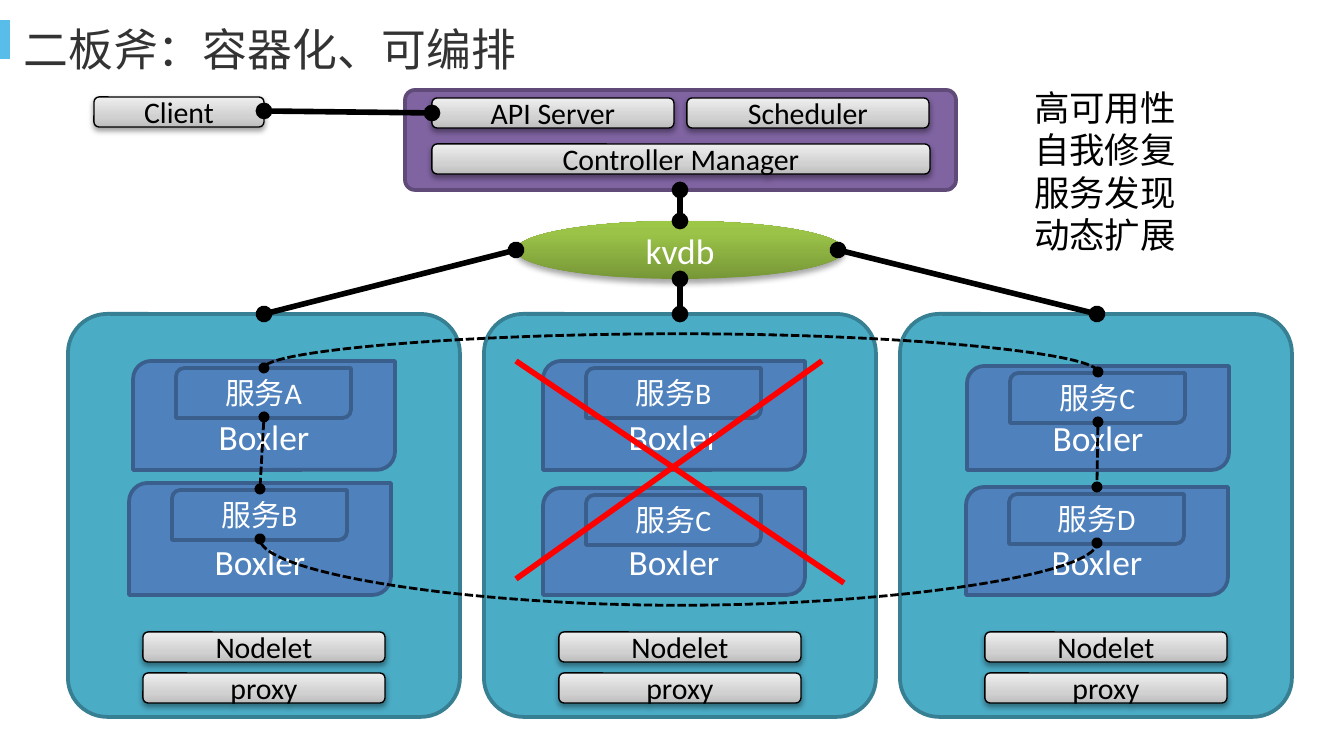
from lxml import etree
from pptx import Presentation
from pptx.dml.color import RGBColor
from pptx.enum.dml import MSO_LINE
from pptx.enum.shapes import MSO_CONNECTOR as Link, MSO_SHAPE as Kind
from pptx.enum.text import MSO_ANCHOR as Anchor, MSO_AUTO_SIZE as AutoSize, PP_ALIGN as Align
from pptx.oxml import parse_xml
from pptx.oxml.ns import nsdecls, qn
from pptx.util import Emu, Pt

PX = 914400 / 134.4
CJK = "Noto Sans CJK SC"

TITLE = "二板斧：容器化、可编排"
BENEFITS = ["高可用性", "自我修复", "服务发现", "动态扩展"]
STORE, RUNTIME = "kvdb", "Boxler"
BAR_W, BAR_H = 242, 30
NODE_TOP, NODE_W, NODE_H = 314, 392, 403
POD_W = 262
SERVICE_DX, SERVICE_DY, SERVICE_W, SERVICE_H = 43, 7, 175, 50

BARS = [  # label, left, top, width
    ("Client", 94, 97, 170),
    ("API Server", 432, 98, BAR_W),
    ("Scheduler", 687, 98, BAR_W),
    ("Controller Manager", 432, 144, 498),
]
DAEMONS = [("Nodelet", 632), ("proxy", 673)]  # label, top
NODES = [  # left, daemon left, pods as (service, left, top, height)
    (68, 143, [("服务A", 133, 361, 109), ("服务B", 129, 483, 112)]),
    (484, 559, [("服务B", 543, 361, 109), ("服务C", 543, 488, 107)]),
    (900, 985, [("服务C", 967, 366, 104), ("服务D", 966, 487, 108)]),
]
CONTROL_LINKS = [
    ((680, 190), (680, 221)),
    ((516, 250), (264, 314)),
    ((680, 279), (680, 314)),
    ((838, 250), (1097, 314)),
    ((432, 113), (264, 111)),
]
SERVICE_LINKS = [((1098, 422), (1097, 487)), ((264, 417), (260, 489))]
SERVICE_ARCS = [  # start, end, height the arc reaches
    ((264, 368), (1098, 372), 334),
    ((260, 539), (1097, 543), 605),
]
CROSS = [((516, 361), (844, 583)), ((822, 361), (516, 579))]

SILVER = [(0, "BDBDBD"), (35, "D1D1D1"), (100, "EEEEEE")]
GREEN = [(0, "779737"), (80, "9BC348"), (100, "9DC746")]


def px(value):
    return Emu(round(value * PX))


def color(value):
    return RGBColor.from_string(value)


def format_text(frame, size, ink, font="Calibri", align=Align.LEFT):
    for para in frame.paragraphs:
        para.alignment = align
        for span in para.runs:
            span.font.size = Pt(size)
            span.font.color.rgb = color(ink)
            span.font.name = font
            east = etree.SubElement(span.font._element, qn("a:ea"))
            east.set("typeface", CJK)


def add_box(kind, left, top, width, height, fill, line=None, weight=2, text="",
            size=16, ink="FFFFFF", anchor=Anchor.MIDDLE, corner=None):
    box = page.shapes.add_shape(kind, px(left), px(top), px(width), px(height))
    box.shadow.inherit = False
    if isinstance(fill, list):
        set_gradient(box, fill)
    else:
        box.fill.solid()
        box.fill.fore_color.rgb = color(fill)
    if line:
        box.line.color.rgb = color(line)
        box.line.width = Pt(weight)
    else:
        box.line.fill.background()
    if corner is not None:
        box.adjustments[0] = corner
    if text:
        frame = box.text_frame
        frame.text = text
        frame.vertical_anchor = anchor
        format_text(frame, size, ink, align=Align.CENTER)
    return box


def set_gradient(box, stops):
    """Bottom-to-top gradient with any number of stops."""
    box.fill.gradient()
    box.fill.gradient_angle = 90
    stop_list = next(box._element.spPr.iter(qn("a:gsLst")))
    for stop in list(stop_list):
        stop_list.remove(stop)
    for place, tone in stops:
        stop = etree.SubElement(stop_list, qn("a:gs"), pos=str(place * 1000))
        etree.SubElement(stop, qn("a:srgbClr"), val=tone)


def add_drop_shadow(box, opacity, distance):
    box._element.spPr.find(qn("a:effectLst")).append(parse_xml(
        f'<a:outerShdw {nsdecls("a")} blurRad="{Pt(3.1)}" dist="{Pt(distance)}" '
        f'dir="5400000" rotWithShape="0"><a:srgbClr val="000000">'
        f'<a:alpha val="{opacity * 1000}"/></a:srgbClr></a:outerShdw>'))


def add_bar(text, left, top, width):
    bar = add_box(Kind.ROUNDED_RECTANGLE, left, top, width, BAR_H, SILVER,
                  "000000", 0.75, text, ink="000000")
    add_drop_shadow(bar, 38, 1.6)


def add_link(start, end, ink="000000", weight=3.0, dashed=False, dots=True, kind=Link.STRAIGHT):
    link = page.shapes.add_connector(kind, *map(px, (*start, *end)))
    link.line.color.rgb = color(ink)
    link.line.width = Pt(weight)
    if dashed:
        link.line.dash_style = MSO_LINE.SQUARE_DOT
    if dots:
        line = link.line._get_or_add_ln()
        for tag in ("a:headEnd", "a:tailEnd"):
            etree.SubElement(line, qn(tag), type="oval")
    etree.SubElement(link._element.spPr, qn("a:effectLst"))
    return link


def add_arc(start, end, reach):
    """Curved connector, turned a quarter so that it leaves both ends vertically."""
    (x1, y1), (x2, y2) = start, end
    mid_x, mid_y = (x1 + x2) / 2, (y1 + y2) / 2
    half_w, half_h = (y2 - y1) / 2, (x2 - x1) / 2
    arc = add_link((mid_x + half_w, mid_y - half_h), (mid_x - half_w, mid_y + half_h),
                   weight=1.5, dashed=True, kind=Link.CURVE)
    shape_xml = arc._element.spPr
    shape_xml.find(qn("a:xfrm")).set("rot", str(270 * 60000))
    guides = shape_xml.find(qn("a:prstGeom")).get_or_add_avLst()
    bend = round((reach - y1) / (y2 - y1) * 100000)
    etree.SubElement(guides, qn("a:gd"), name="adj1", fmla=f"val {bend}")


deck = Presentation()
deck.slide_width, deck.slide_height = px(1344), px(756)
page = deck.slides.add_slide(deck.slide_layouts[5])

add_box(Kind.RECTANGLE, -1, 20, 11, 39, "59BDE9")
title = page.shapes.title
title.left, title.top, title.width, title.height = map(px, (10, 15, 677, 67))
title.text_frame.text = TITLE
title.text_frame.vertical_anchor = Anchor.TOP
title.text_frame.auto_size = AutoSize.NONE
format_text(title.text_frame, 24, "333333", CJK)

add_box(Kind.ROUNDED_RECTANGLE, 405, 90, 551, 100, "8064A2", "5F4A78", corner=0.1)
for bar in BARS:
    add_bar(*bar)

for left, daemon_left, _ in NODES:
    add_box(Kind.ROUNDED_RECTANGLE, left, NODE_TOP, NODE_W, NODE_H,
            "4BACC6", "377F92", corner=0.1)
    for label, top in DAEMONS:
        add_bar(label, daemon_left, top, BAR_W)

store = add_box(Kind.OVAL, 516, 221, 328, 58, GREEN, text=STORE, size=19)
add_drop_shadow(store, 35, 1.8)
for start, end in CONTROL_LINKS:
    add_link(start, end)

for _, _, pods in NODES:
    for service, left, top, height in pods:
        add_box(Kind.ROUND_2_DIAG_RECTANGLE, left, top, POD_W, height, "4F81BD", "3A5F8C",
                text=RUNTIME, size=19, anchor=Anchor.BOTTOM)
        add_box(Kind.ROUND_2_DIAG_RECTANGLE, left + SERVICE_DX, top + SERVICE_DY,
                SERVICE_W, SERVICE_H, "4F81BD", "3A5F8C", text=service)

for start, end in SERVICE_LINKS:
    add_link(start, end, weight=1.5, dashed=True)
for arc in SERVICE_ARCS:
    add_arc(*arc)
for start, end in CROSS:
    add_link(start, end, "FF0000", dots=False)

benefits = page.shapes.add_textbox(*map(px, (1021, 79, 171, 186))).text_frame
benefits.word_wrap = False
benefits.text = "\n".join(BENEFITS)
format_text(benefits, 19, "000000")

deck.save("out.pptx")
